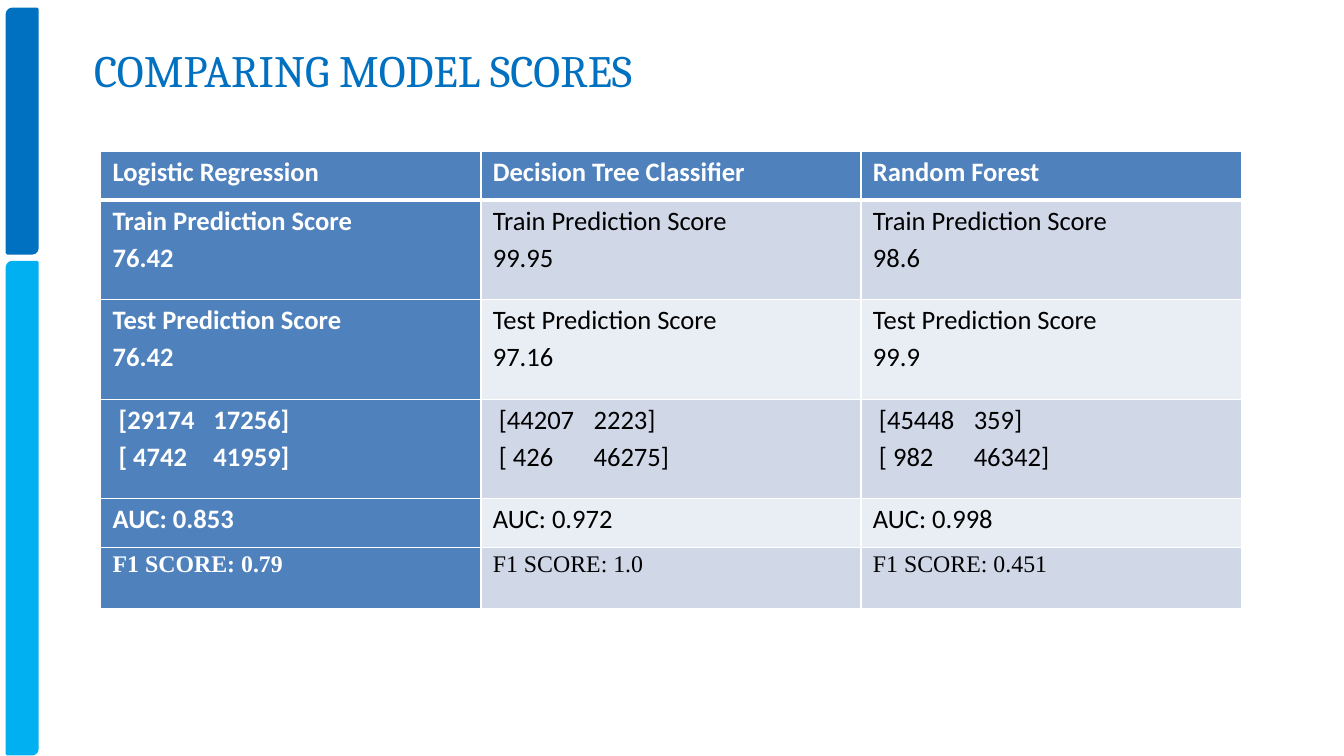
from lxml import etree
from pptx import Presentation, util as u
from pptx.dml.color import RGBColor
from pptx.enum import shapes, text
from pptx.oxml import ns

BLUE = RGBColor(0x00, 0x70, 0xC0)
SKY = RGBColor(0x00, 0xB0, 0xF0)
HEADER = RGBColor(0x4F, 0x81, 0xBD)
BAND_DARK = RGBColor(0xD0, 0xD8, 0xE8)
BAND_LIGHT = RGBColor(0xE9, 0xED, 0xF4)
WHITE = RGBColor(0xFF, 0xFF, 0xFF)
BLACK = RGBColor(0x00, 0x00, 0x00)

ROW_HEIGHTS = [1.22, 2.51, 2.51, 2.51, 1.22, 1.55]
SCORES = [
    ["Logistic Regression", "Decision Tree Classifier", "Random Forest"],
    ["Train Prediction Score\n76.42", "Train Prediction Score\n99.95", "Train Prediction Score\n98.6"],
    ["Test Prediction Score\n76.42", "Test Prediction Score\n97.16", "Test Prediction Score\n99.9"],
    ["[29174\t17256]\n[ 4742\t41959]", "[44207\t2223]\n[ 426\t46275]", "[45448\t359]\n[ 982\t46342]"],
    ["AUC: 0.853", "AUC: 0.972", "AUC: 0.998"],
    ["F1 SCORE: 0.79", "F1 SCORE: 1.0", "F1 SCORE: 0.451"],
]
MATRIX_TABS = [[2.82, 2.92], [2.82, 2.57], [3.28, 2.45]]
MATRIX_INDENT = 0.15


def add_block(slide, kind, left, top, width, height, color):
    shape = slide.shapes.add_shape(kind, u.Cm(left), u.Cm(top), u.Cm(width), u.Cm(height))
    shape.shadow.inherit = False
    shape.fill.solid()
    shape.fill.fore_color.rgb = color
    return shape


def add_side_bars(slide, left, top, width, height):
    gap = 0.23
    upper = 6.15
    bars = [(top, upper, BLUE), (top + upper + gap, height - upper - gap, SKY)]
    for bar_top, bar_height, color in bars:
        bar = add_block(slide, shapes.MSO_SHAPE.ROUND_2_DIAG_RECTANGLE,
                        left, bar_top, width, bar_height, color)
        bar.line.color.rgb = color
        bar.line.width = u.Pt(2)


def add_panel(slide, left, top, width, height):
    panel = add_block(slide, shapes.MSO_SHAPE.RECTANGLE, left, top, width, height, WHITE)
    panel.line.fill.background()


def add_title(slide, left, top, width, height):
    box = slide.shapes.add_textbox(u.Cm(left), u.Cm(top), u.Cm(width), u.Cm(height))
    frame = box.text_frame
    frame.word_wrap = True
    frame.vertical_anchor = text.MSO_ANCHOR.MIDDLE
    frame.text = "COMPARING MODEL SCORES"
    paragraph = frame.paragraphs[0]
    paragraph.line_spacing = 0.9
    paragraph.font.name = "Cambria"
    paragraph.font.size = u.Pt(32)
    paragraph.font.color.rgb = BLUE


def set_borders(cell, row):
    properties = cell._tc.get_or_add_tcPr()
    thick = {0: "lnB", 1: "lnT"}.get(row)
    for side in ("lnL", "lnR", "lnT", "lnB"):
        width = u.Pt(3 if side == thick else 1)
        line = etree.SubElement(properties, ns.qn(f"a:{side}"), w=str(width))
        fill = etree.SubElement(line, ns.qn("a:solidFill"))
        etree.SubElement(fill, ns.qn("a:srgbClr"), val=str(WHITE))


def set_tab(paragraph, position):
    properties = paragraph._p.get_or_add_pPr()
    properties.set("marL", "0")
    properties.set("indent", str(u.Cm(MATRIX_INDENT)))
    tabs = etree.SubElement(properties, ns.qn("a:tabLst"))
    etree.SubElement(tabs, ns.qn("a:tab"), pos=str(u.Cm(position)), algn="l")


def format_cell(cell, row, column):
    emphasized = row == 0 or column == 0
    set_borders(cell, row)
    cell.fill.solid()
    cell.fill.fore_color.rgb = HEADER if emphasized else BAND_DARK if row % 2 else BAND_LIGHT
    cell.margin_left = cell.margin_right = u.Cm(0.3)
    cell.margin_top = cell.margin_bottom = 0
    cell.text_frame.text = SCORES[row][column]
    last_row = row == len(SCORES) - 1
    for index, paragraph in enumerate(cell.text_frame.paragraphs):
        paragraph.alignment = text.PP_ALIGN.JUSTIFY
        paragraph.line_spacing = 1.15
        if "\t" in paragraph.text:
            set_tab(paragraph, MATRIX_TABS[column][index])
        for run in paragraph.runs:
            run.font.name = "Times New Roman" if last_row else "Calibri"
            run.font.size = u.Pt(17 if last_row else 19)
            run.font.bold = emphasized
            run.font.color.rgb = WHITE if emphasized else BLACK


def add_score_table(slide, left, top, width):
    columns = len(SCORES[0])
    frame = slide.shapes.add_table(len(SCORES), columns, u.Cm(left), u.Cm(top),
                                   u.Cm(width), u.Cm(sum(ROW_HEIGHTS)))
    table = frame.table
    for column in table.columns:
        column.width = u.Cm(width / columns)
    for row, height in enumerate(ROW_HEIGHTS):
        table.rows[row].height = u.Cm(height)
        for column in range(columns):
            format_cell(table.cell(row, column), row, column)


def main():
    presentation = Presentation()
    presentation.slide_width = u.Cm(33.87)
    presentation.slide_height = u.Cm(19.05)
    slide = presentation.slides.add_slide(presentation.slide_layouts[6])
    add_side_bars(slide, 0.18, 0.23, 0.76, 18.77)
    add_panel(slide, 1.06, 0, 32.81, 19.05)
    add_title(slide, 2.12, 0, 29.21, 3.68)
    add_score_table(slide, 2.54, 3.82, 28.74)
    presentation.save("out.pptx")


if __name__ == "__main__":
    main()
